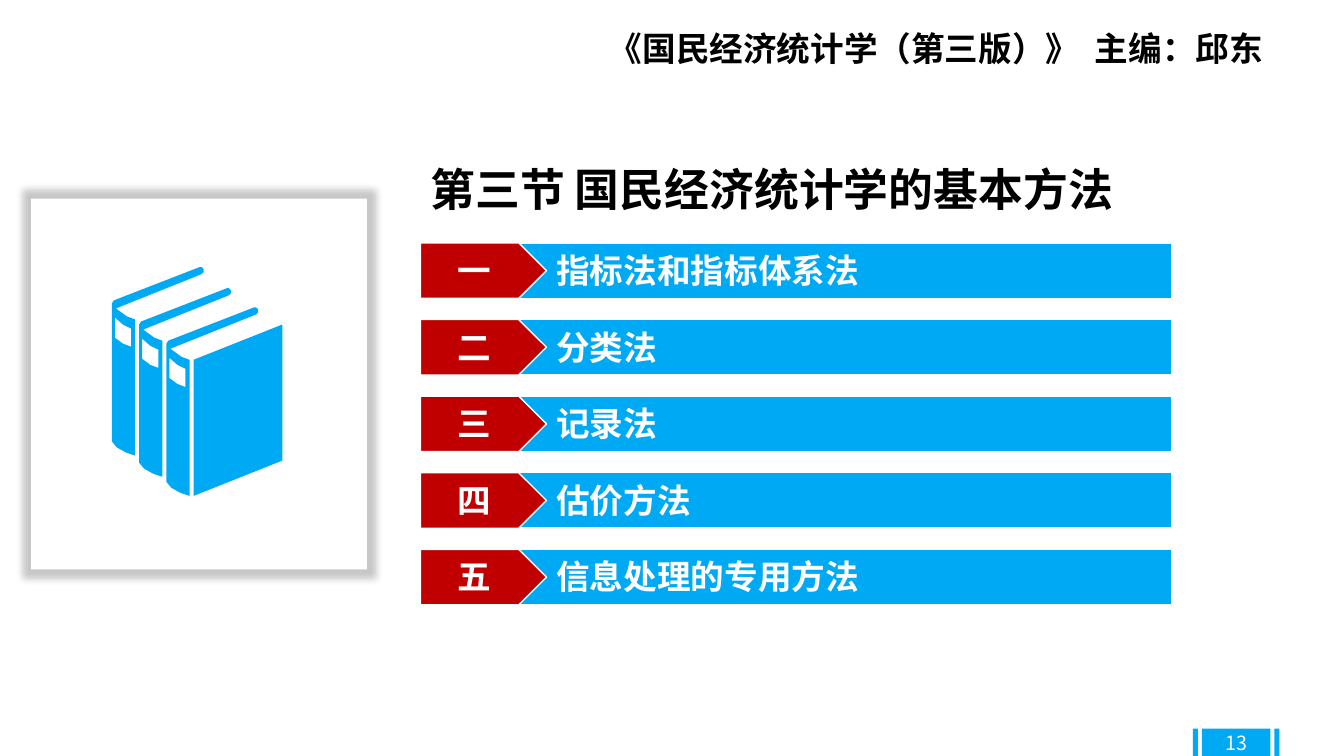
"""Build the section slide on the basic methods of national economic statistics."""
import dataclasses

import pptx
import pptx.dml.color
import pptx.enum.shapes
import pptx.enum.text
import pptx.oxml
import pptx.oxml.ns
import pptx.util
from lxml import etree

Inches = pptx.util.Inches
Pt = pptx.util.Pt
RGB = pptx.dml.color.RGBColor.from_string
Shape = pptx.enum.shapes.MSO_SHAPE
Align = pptx.enum.text.PP_ALIGN
Anchor = pptx.enum.text.MSO_ANCHOR
qn = pptx.oxml.ns.qn


@dataclasses.dataclass(frozen=True)
class Theme:
    font: str = "Noto Sans CJK SC"
    blue: str = "00A9F3"
    red: str = "C00000"
    white: str = "FFFFFF"
    black: str = "000000"
    title_size: int = 32
    text_size: int = 24
    page_size: int = 14


theme = Theme()
presentation = pptx.Presentation()
presentation.slide_width = Inches(13.33)
presentation.slide_height = Inches(7.5)
slide = presentation.slides.add_slide(presentation.slide_layouts[6])


def add_block(kind, left, top, width, height, fill, line=None):
    shape = slide.shapes.add_shape(kind, Inches(left), Inches(top), Inches(width), Inches(height))
    shape.shadow.inherit = False
    shape.fill.solid()
    shape.fill.fore_color.rgb = RGB(fill)
    if line:
        shape.line.color.rgb = RGB(line)
        shape.line.width = Pt(1)
    else:
        shape.line.fill.background()
    return shape


def add_text(text, left, top, width, height, size, color, bold=True, wrap=True,
             align=Align.LEFT, anchor=Anchor.TOP, tab=None):
    box = slide.shapes.add_textbox(Inches(left), Inches(top), Inches(width), Inches(height))
    box.text_frame.word_wrap = wrap
    box.text_frame.vertical_anchor = anchor
    paragraph = box.text_frame.paragraphs[0]
    paragraph.text = text
    paragraph.alignment = align
    properties = paragraph._p.get_or_add_pPr()
    if tab:
        tabs = etree.SubElement(properties, qn("a:tabLst"))
        etree.SubElement(tabs, qn("a:tab"), pos=str(Inches(tab)), algn="l")
    paragraph.font.name = theme.font
    paragraph.font.size = Pt(size)
    paragraph.font.bold = bold
    paragraph.font.color.rgb = RGB(color)
    etree.SubElement(properties.find(qn("a:defRPr")), qn("a:ea"), typeface=theme.font)


for left, width in ((11.92, 0.68), (12.64, 0.05), (11.83, 0.05)):
    add_block(Shape.RECTANGLE, left, 7.23, width, 0.27, theme.blue)
add_text("13", 11.92, 7.17, 0.68, 0.4, theme.page_size, theme.white, bold=False,
         align=Align.CENTER, anchor=Anchor.MIDDLE)

frame = add_block(Shape.RECTANGLE, 0.31, 1.97, 3.33, 3.68, theme.white)
effects = frame._element.spPr.find(qn("a:effectLst"))
effects.append(pptx.oxml.parse_xml(
    f'<a:outerShdw {pptx.oxml.ns.nsdecls("a")} blurRad="63500" sx="105000" sy="105000" '
    'algn="ctr" rotWithShape="0"><a:prstClr val="black"><a:alpha val="22000"/></a:prstClr>'
    '</a:outerShdw>'))

cover = [(192, 357), (192, 492), (280, 457), (280, 322)]
spine = [(111, 301), (111, 438), (116, 444), (125, 449), (134, 452), (134, 317),
         (126, 314), (115, 306), (200, 272), (202, 270), (202, 267), (200, 265),
         (198, 265), (113, 298)]
label = [(130, 326), (130, 344), (122, 341), (114, 335), (114, 315), (122, 322)]

builder = slide.shapes.build_freeform(*cover[0], scale=Inches(0.01))
builder.add_line_segments(cover[1:], close=True)
for right, down in ((0, 0), (27, 21), (54, 40)):
    for outline in (spine, label):
        points = [(x + right, y + down) for x, y in outline]
        builder.move_to(*points[0])
        builder.add_line_segments(points[1:], close=True)
books = builder.convert_to_shape()
books.shadow.inherit = False
books.fill.solid()
books.fill.fore_color.rgb = RGB(theme.blue)
books.line.fill.background()

add_text("第三节 国民经济统计学的基本方法", 4.17, 1.56, 7.75, 0.64, theme.title_size,
         theme.black, align=Align.JUSTIFY)

methods = (("一", "指标法和指标体系法"), ("二", "分类法"), ("三", "记录法"),
           ("四", "估价方法"), ("五", "信息处理的专用方法"))
for index, (number, method) in enumerate(methods):
    top = 2.41 + 0.76 * index
    add_block(Shape.RECTANGLE, 5.02, top, 6.6, 0.55, theme.blue, theme.white)
    add_block(Shape.PENTAGON, 4.17, top, 1.25, 0.55, theme.red, theme.white)
    for text, left in ((number, 4.44), (method, 5.42)):
        width = len(text) * theme.text_size / 72 + 0.2
        add_text(text, left, top + 0.02, width, 0.5, theme.text_size, theme.white, wrap=False)

add_text("《国民经济统计学（第三版）》\t主编：邱东", 5.94, 0.23, 7.23, 0.5, theme.text_size,
         theme.black, tab=4.82)

presentation.save("out.pptx")
